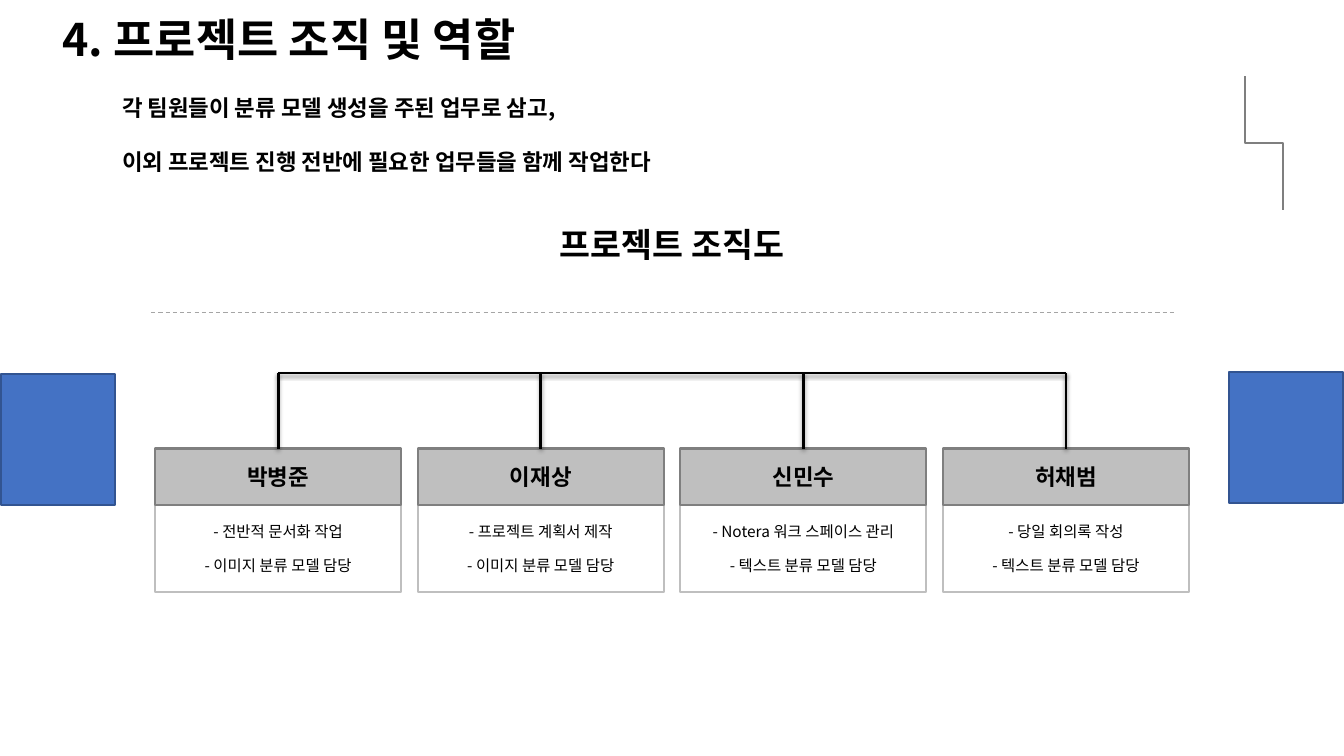
from dataclasses import dataclass

from lxml import etree
from pptx import Presentation
from pptx import util as u
from pptx.dml.color import RGBColor
from pptx.enum import dml, shapes, text
from pptx.oxml import ns

FONT = "Noto Sans CJK KR"
BLACK = RGBColor(0x00, 0x00, 0x00)
DARK_GREY = RGBColor(0x7F, 0x7F, 0x7F)
MID_GREY = RGBColor(0xA5, 0xA5, 0xA5)
LIGHT_GREY = RGBColor(0xBF, 0xBF, 0xBF)
BLUE = RGBColor(0x44, 0x72, 0xC4)
DARK_BLUE = RGBColor(0x32, 0x54, 0x91)

SLIDE_WIDTH = u.Inches(13.33)
SLIDE_HEIGHT = u.Inches(7.5)


@dataclass(frozen=True)
class Box:
    """A rectangle in percent of the slide's width and height."""
    left: float
    top: float
    width: float
    height: float

    def lengths(self) -> tuple[int, int, int, int]:
        return across(self.left), down(self.top), across(self.width), down(self.height)


@dataclass(frozen=True)
class Member:
    name: str
    roles: tuple[str, str]


MEMBERS = (
    Member("박병준", ("- 전반적 문서화 작업", "- 이미지 분류 모델 담당")),
    Member("이재상", ("- 프로젝트 계획서 제작", "- 이미지 분류 모델 담당")),
    Member("신민수", ("- Notera 워크 스페이스 관리", "- 텍스트 분류 모델 담당")),
    Member("허채범", ("- 당일 회의록 작성", "- 텍스트 분류 모델 담당")),
)
CARD_LEFT, CARD_PITCH, CARD_WIDTH = 11.55, 19.54, 18.3
NAME_TOP, NAME_HEIGHT, ROLES_HEIGHT = 59.33, 7.47, 11.47
BUS_TOP = 49.33
SIDE_BLOCKS = (Box(0.08, 49.47, 8.48, 17.33), Box(91.45, 49.2, 8.48, 17.33))


def across(percent: float) -> int:
    return round(SLIDE_WIDTH * percent / 100)


def down(percent: float) -> int:
    return round(SLIDE_HEIGHT * percent / 100)


def write(frame, lines, size: float, bold: bool = True, align=text.PP_ALIGN.CENTER) -> None:
    frame.text = "\n".join(lines)
    frame.word_wrap = True
    frame.auto_size = text.MSO_AUTO_SIZE.NONE
    for paragraph in frame.paragraphs:
        paragraph.alignment = align
        for run in paragraph.runs:
            run.font.size = u.Pt(size)
            run.font.bold = bold
            run.font.name = FONT
            run.font.color.rgb = BLACK
            east_asian = etree.SubElement(run.font._element, ns.qn("a:ea"))
            east_asian.set("typeface", FONT)


def place(placeholder, box: Box) -> None:
    (placeholder.left, placeholder.top,
     placeholder.width, placeholder.height) = box.lengths()


def add_rectangle(slide, box: Box, fill, line: RGBColor, line_width: float):
    rectangle = slide.shapes.add_shape(shapes.MSO_SHAPE.RECTANGLE, *box.lengths())
    rectangle.shadow.inherit = False
    if fill is None:
        rectangle.fill.background()
    else:
        rectangle.fill.solid()
        rectangle.fill.fore_color.rgb = fill
    rectangle.line.color.rgb = line
    rectangle.line.width = u.Pt(line_width)
    return rectangle


def add_line(slide, start, end, color: RGBColor, width: float,
             kind=shapes.MSO_CONNECTOR.STRAIGHT, shadow: bool = False):
    """Draw a connector between two points given in percent of the slide."""
    line = slide.shapes.add_connector(
        kind, across(start[0]), down(start[1]), across(end[0]), down(end[1]))
    line.line.color.rgb = color
    line.line.width = u.Pt(width)
    effects = etree.SubElement(line._element.spPr, ns.qn("a:effectLst"))
    if shadow:
        outer = etree.SubElement(
            effects, ns.qn("a:outerShdw"), blurRad=str(u.Pt(3.1)),
            dist=str(u.Pt(1.6)), dir="5400000", rotWithShape="0")
        tint = etree.SubElement(outer, ns.qn("a:srgbClr"), val=str(BLACK))
        etree.SubElement(tint, ns.qn("a:alpha"), val="38000")
    return line


def add_card(slide, member: Member, left: float):
    """Draw a member's roles and name, and return the name's rectangle."""
    roles = add_rectangle(
        slide, Box(left, NAME_TOP + NAME_HEIGHT, CARD_WIDTH, ROLES_HEIGHT),
        None, LIGHT_GREY, 1.5)
    write(roles.text_frame, member.roles, 11, bold=False)
    roles.text_frame.paragraphs[1].space_before = u.Pt(10.5)
    name = add_rectangle(
        slide, Box(left, NAME_TOP, CARD_WIDTH, NAME_HEIGHT), LIGHT_GREY, DARK_GREY, 1.5)
    write(name.text_frame, [member.name], 16)
    return name


def add_headings(slide) -> None:
    title, summary = slide.shapes.title, slide.placeholders[1]
    place(title, Box(3.9, 2, 86.27, 7.07))
    write(title.text_frame, ["4. 프로젝트 조직 및 역할"], 32, align=text.PP_ALIGN.LEFT)
    title.text_frame.vertical_anchor = text.MSO_ANCHOR.MIDDLE
    title.text_frame.paragraphs[0].line_spacing = 0.9

    place(summary, Box(4.58, 10, 90.1, 14.13))
    write(summary.text_frame,
          ["각 팀원들이 분류 모델 생성을 주된 업무로 삼고,",
           "이외 프로젝트 진행 전반에 필요한 업무들을 함께 작업한다"],
          16, align=text.PP_ALIGN.LEFT)
    for paragraph in summary.text_frame.paragraphs:
        paragraph.line_spacing = 1.5
        paragraph.space_before = u.Pt(10)
        properties = paragraph._p.get_or_add_pPr()
        properties.set("marL", str(u.Inches(0.5)))
        properties.set("indent", "0")
        etree.SubElement(properties, ns.qn("a:buNone"))

    chart_heading = slide.shapes.add_textbox(*Box(35.78, 28.93, 28.43, 5.87).lengths())
    write(chart_heading.text_frame, ["프로젝트 조직도"], 24)


def add_organisation(slide) -> None:
    lefts = [CARD_LEFT + CARD_PITCH * column for column in range(len(MEMBERS))]
    centres = [left + CARD_WIDTH / 2 for left in lefts]
    names = [add_card(slide, member, left) for member, left in zip(MEMBERS, lefts)]
    add_line(slide, (centres[0], BUS_TOP), (centres[-1], BUS_TOP), BLACK, 2, shadow=True)
    for name, centre in zip(names, centres):
        branch = add_line(slide, (centre, BUS_TOP), (centre, NAME_TOP), BLACK, 2, shadow=True)
        branch.end_connect(name, 0)


def add_decoration(slide) -> None:
    divider = add_line(slide, (11.25, 41.33), (87.55, 41.33), MID_GREY, 0.75)
    divider.line.dash_style = dml.MSO_LINE.DASH
    step = add_line(slide, (89.05, 16.4), (99.02, 21.47), DARK_GREY, 1.5,
                    kind=shapes.MSO_CONNECTOR.ELBOW)
    step_frame = step._element.spPr.find(ns.qn("a:xfrm"))
    step_frame.set("rot", str(270 * 60000))
    step_frame.set("flipH", "1")
    for block in SIDE_BLOCKS:
        add_rectangle(slide, block, BLUE, DARK_BLUE, 2)


def main() -> None:
    presentation = Presentation()
    presentation.slide_width = SLIDE_WIDTH
    presentation.slide_height = SLIDE_HEIGHT
    slide = presentation.slides.add_slide(presentation.slide_layouts[1])
    add_headings(slide)
    add_decoration(slide)
    add_organisation(slide)
    presentation.save("out.pptx")


if __name__ == "__main__":
    main()
